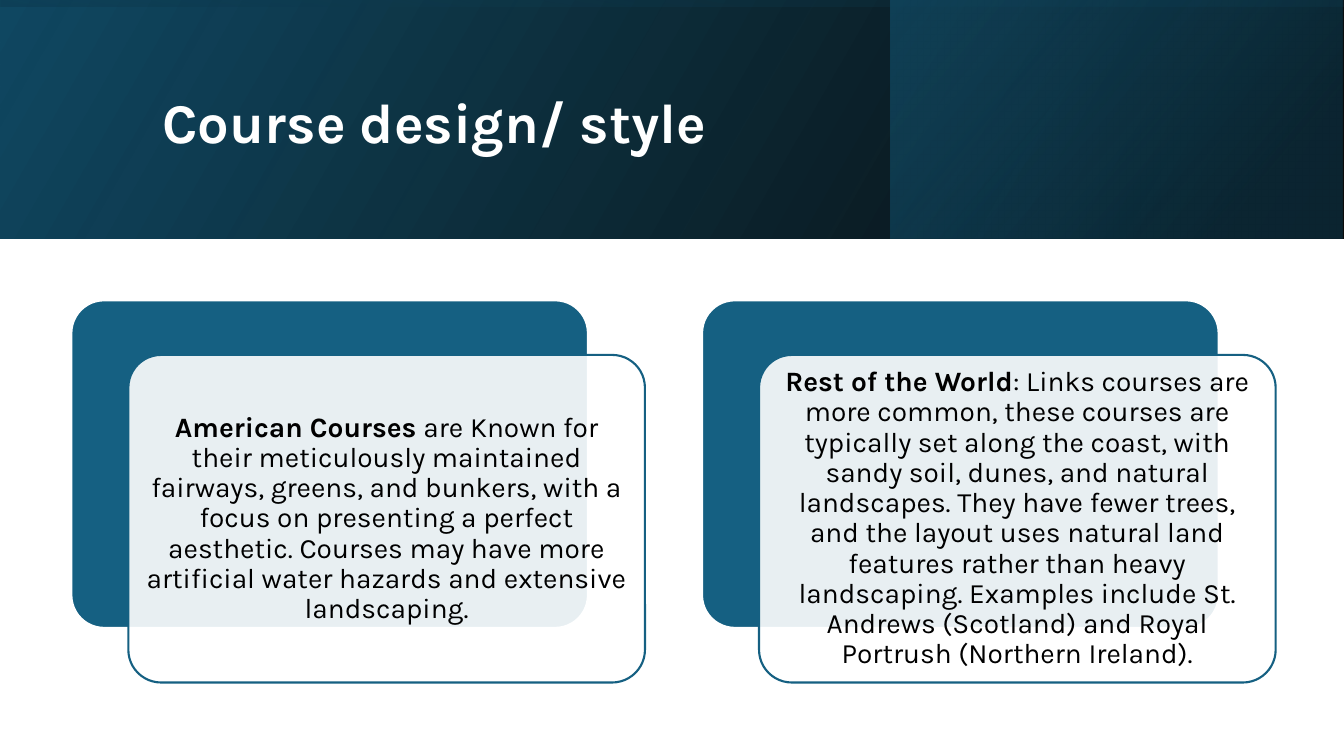
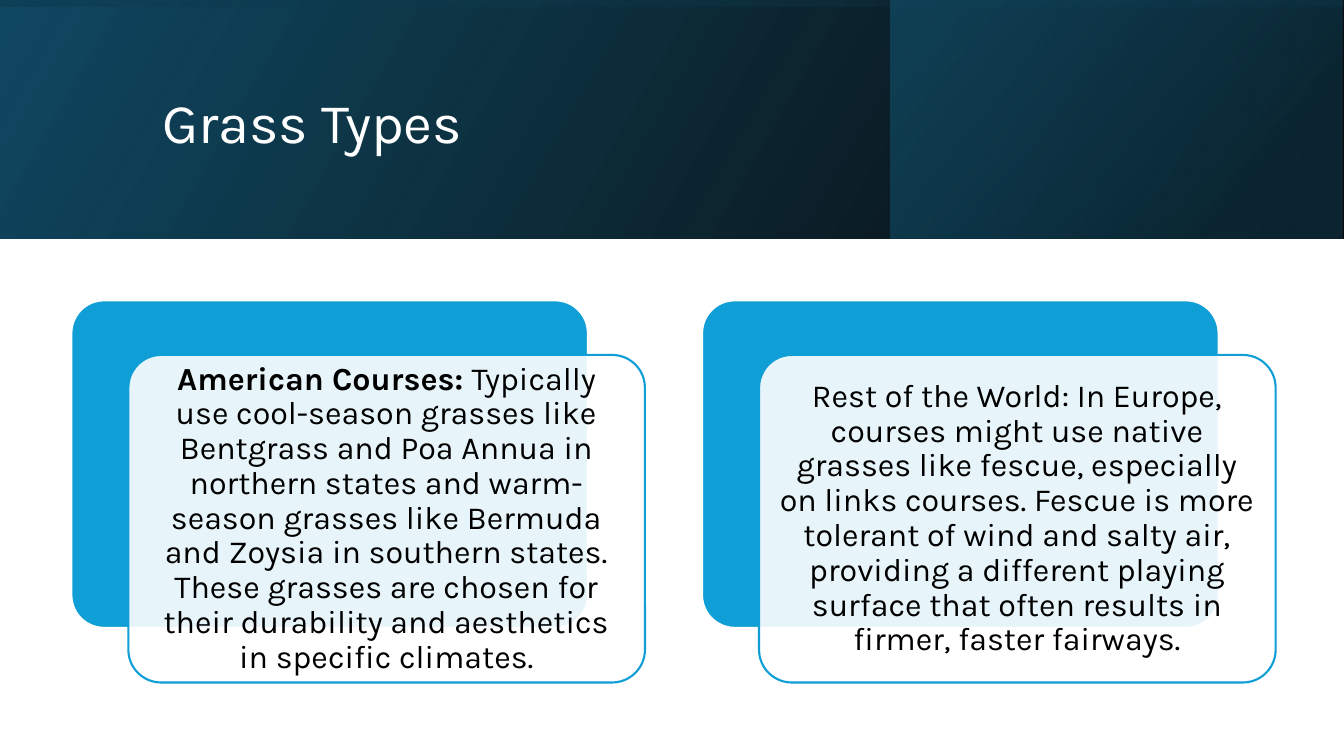
"""Builds two golf course comparison slides with a gradient banner and paired cards."""
from lxml import etree
from pptx import Presentation
from pptx.dml.color import RGBColor
from pptx.enum.shapes import MSO_SHAPE
from pptx.enum.text import MSO_ANCHOR, PP_ALIGN
from pptx.oxml.ns import qn
from pptx.util import Pt

RECTANGLE = MSO_SHAPE.RECTANGLE
ROUNDED = MSO_SHAPE.ROUNDED_RECTANGLE
MIDDLE = MSO_ANCHOR.MIDDLE
CENTER = PP_ALIGN.CENTER

COLORS = {
    "white": "FFFFFF",
    "black": "000000",
    "navy": "104862",
    "deep": "0B3041",
    "teal": "156082",
    "sky": "0F9ED5",
}
FONT = "Karla"
SLIDE_WIDTH, SLIDE_HEIGHT = 960, 540
BAND_HEIGHT = 170.6
CARD_WIDTH, CARD_HEIGHT = 369, 234
CARD_LEFT, CARD_TOP, CARD_STEP = 51, 214.5, 450.5
OFFSET_X, OFFSET_Y = 40.7, 39

BANDS = [
    {"box": (0, 0, SLIDE_WIDTH, BAND_HEIGHT), "rotation": 0, "angle": 330,
     "stops": [(0, "black", 96), (100, "navy", 100)]},
    {"box": (636, 0, 323, BAND_HEIGHT), "rotation": 0, "angle": 320,
     "stops": [(19, "deep", 68), (100, "teal", 48)]},
    {"box": ((SLIDE_WIDTH - BAND_HEIGHT) / 2, (BAND_HEIGHT - SLIDE_WIDTH) / 2,
             BAND_HEIGHT, SLIDE_WIDTH), "rotation": 270, "angle": 350,
     "stops": [(23, "navy", 16), (99, "black", 45)]},
]

SLIDES = [
    {"title": "Course design/ style", "bold": True, "accent": "teal", "size": 20, "inset": 6,
     "cards": [
         ("American Courses",
          " are Known for their meticulously maintained fairways, greens, and bunkers, "
          "with a focus on presenting a perfect aesthetic. Courses may have more "
          "artificial water hazards and extensive landscaping."),
         ("Rest of the World",
          ": Links courses are more common, these courses are typically set along the "
          "coast, with sandy soil, dunes, and natural landscapes. They have fewer trees, "
          "and the layout uses natural land features rather than heavy landscaping. "
          "Examples include St. Andrews (Scotland) and Royal Portrush (Northern Ireland)."),
     ]},
    {"title": "Grass Types", "bold": False, "accent": "sky", "size": 23, "inset": 6.9,
     "cards": [
         ("American Courses:",
          " Typically use cool-season grasses like Bentgrass and Poa Annua in northern "
          "states and warm-season grasses like Bermuda and Zoysia in southern states. "
          "These grasses are chosen for their durability and aesthetics in specific climates."),
         ("",
          "Rest of the World: In Europe, courses might use native grasses like fescue, "
          "especially on links courses. Fescue is more tolerant of wind and salty air, "
          "providing a different playing surface that often results in firmer, faster fairways."),
     ]},
]


def add_block(slide, kind, box, fill, line=None):
    shape = slide.shapes.add_shape(kind, *[Pt(value) for value in box])
    shape.shadow.inherit = False
    shape.fill.solid()
    shape.fill.fore_color.rgb = RGBColor.from_string(COLORS[fill])
    if line:
        shape.adjustments[0] = 0.1
        shape.line.color.rgb = RGBColor.from_string(COLORS[line])
        shape.line.width = Pt(1.5)
    else:
        shape.line.fill.background()
    return shape


def format_run(run, size, color, bold):
    run.font.name = FONT
    run.font.size = Pt(size)
    run.font.bold = bold
    run.font.color.rgb = RGBColor.from_string(COLORS[color])


presentation = Presentation()
presentation.slide_width = Pt(SLIDE_WIDTH)
presentation.slide_height = Pt(SLIDE_HEIGHT)

for content in SLIDES:
    slide = presentation.slides.add_slide(presentation.slide_layouts[6])

    for band in BANDS:
        shape = add_block(slide, RECTANGLE, band["box"], "navy")
        shape.rotation = band["rotation"]
        properties = shape._element.spPr
        properties.find(qn("a:xfrm")).set("flipH", "1")
        gradient = etree.Element(qn("a:gradFill"), rotWithShape="1")
        stop_list = etree.SubElement(gradient, qn("a:gsLst"))
        for position, color, opacity in band["stops"]:
            stop = etree.SubElement(stop_list, qn("a:gs"), pos=str(position * 1000))
            stop_color = etree.SubElement(stop, qn("a:srgbClr"), val=COLORS[color])
            etree.SubElement(stop_color, qn("a:alpha"), val=str(opacity * 1000))
        etree.SubElement(gradient, qn("a:lin"), ang=str(band["angle"] * 60000), scaled="0")
        properties.replace(properties.find(qn("a:solidFill")), gradient)

    title = slide.shapes.add_textbox(Pt(109), Pt(27.5), Pt(765), Pt(124))
    title.text_frame.word_wrap = True
    title.text_frame.vertical_anchor = MIDDLE
    title.text_frame.text = content["title"]
    paragraph = title.text_frame.paragraphs[0]
    paragraph.line_spacing = 0.9
    format_run(paragraph.runs[0], 40, "white", content["bold"])

    for index, (lead, body) in enumerate(content["cards"]):
        left = CARD_LEFT + index * CARD_STEP
        add_block(slide, ROUNDED, (left, CARD_TOP, CARD_WIDTH, CARD_HEIGHT),
                  content["accent"], "white")
        card = add_block(slide, ROUNDED,
                         (left + OFFSET_X, CARD_TOP + OFFSET_Y, CARD_WIDTH, CARD_HEIGHT),
                         "white", content["accent"])
        fill_color = card._element.spPr.find(qn("a:solidFill"))[0]
        etree.SubElement(fill_color, qn("a:alpha"), val="90000")

        frame = card.text_frame
        frame.word_wrap = True
        frame.vertical_anchor = MIDDLE
        frame.margin_left = frame.margin_right = Pt(content["inset"])
        frame.margin_top = frame.margin_bottom = Pt(content["inset"])
        paragraph = frame.paragraphs[0]
        paragraph.alignment = CENTER
        paragraph.line_spacing = 0.9
        for text, bold in ((lead, True), (body, False)):
            if text:
                run = paragraph.add_run()
                run.text = text
                format_run(run, content["size"], "black", bold)

presentation.save("out.pptx")
